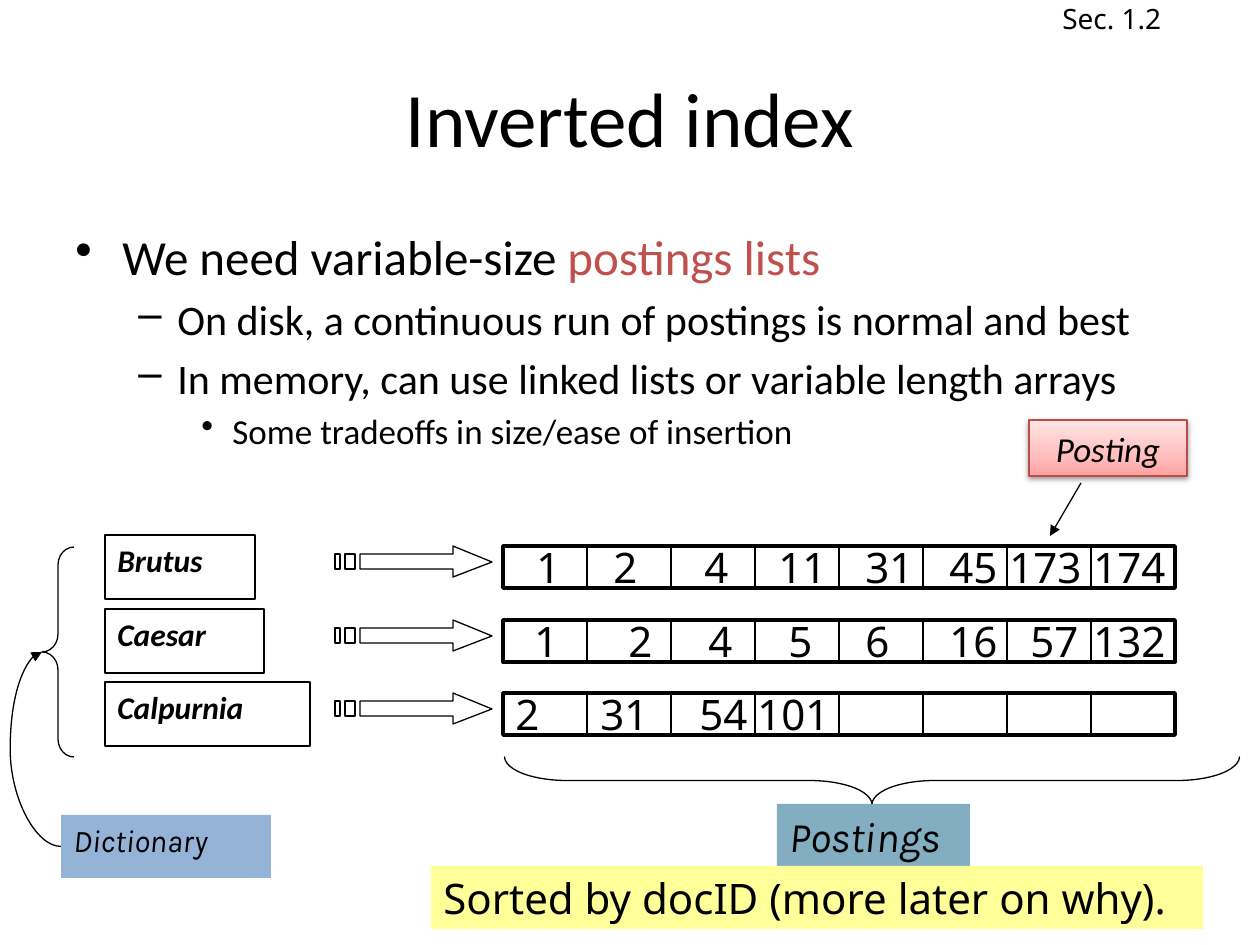
from lxml import etree
from pptx import Presentation
from pptx.dml.color import RGBColor
from pptx.enum.shapes import MSO_CONNECTOR, MSO_SHAPE
from pptx.enum.text import MSO_ANCHOR, MSO_AUTO_SIZE, PP_ALIGN
from pptx.oxml import parse_xml
from pptx.oxml.ns import nsdecls, qn
from pptx.util import Pt

RECT, BRACE = MSO_SHAPE.RECTANGLE, MSO_SHAPE.LEFT_BRACE
LINE, CURVE = MSO_CONNECTOR.STRAIGHT, MSO_CONNECTOR.CURVE
TOP, MIDDLE = MSO_ANCHOR.TOP, MSO_ANCHOR.MIDDLE
LEFT, CENTER = PP_ALIGN.LEFT, PP_ALIGN.CENTER
GROW = MSO_AUTO_SIZE.SHAPE_TO_FIT_TEXT

BLACK = RGBColor(0x00, 0x00, 0x00)
RED = RGBColor(0xC0, 0x50, 0x4D)
EDGE = RGBColor(0xBE, 0x4B, 0x48)
BLUE = RGBColor(0x95, 0xB3, 0xD7)
TEAL = RGBColor(0x83, 0xAD, 0xC1)
YELLOW = RGBColor(0xFF, 0xFF, 0x99)
PINKS = [
    (0, RGBColor(0xFF, 0xA2, 0xA1)),
    (35, RGBColor(0xFF, 0xBE, 0xBD)),
    (100, RGBColor(0xFF, 0xE5, 0xE5)),
]

PX = 914400 / 126
THIN, THICK = 0.75, 2
CELL, HIGH, START = 84, 42, 503
WIDTHS = {1: 52, 2: 79, 3: 106}

SANS = {"name": "Noto Sans", "size": Pt(24)}
TERM = {"name": "Calibri", "size": Pt(18), "bold": True, "italic": True}
NOTE = {"name": "Karla", "italic": True}

POINTS = [
    ("•", 47, 47, 28, [("We need variable-size ", BLACK), ("postings lists", RED)]),
    ("–", 102, 39, 24, [("On disk, a continuous run of postings is normal and best", BLACK)]),
    ("–", 102, 39, 24, [("In memory, can use linked lists or variable length arrays", BLACK)]),
    ("•", 157, 31, 20, [("Some tradeoffs in size/ease of insertion", BLACK)]),
]

ROWS = [
    ("Brutus", 546, 150, [(524, 1), (601, 2), (692, 4), (766, 11),
                          (853, 31), (937, 45), (997, 173), (1081, 174)]),
    ("Caesar", 620, 159, [(522, 1), (616, 2), (696, 4), (776, 5),
                          (853, 6), (937, 16), (1018, 57), (1081, 132)]),
    ("Calpurnia", 693, 205, [(503, 2), (588, 31), (687, 54), (745, 101)]),
]

STRIPES = [
    [(118, 0), (118, 8), (25, 8), (25, 23), (118, 23), (118, 31), (157, 16)],
    [(10, 8), (10, 23), (20, 23), (20, 8)],
    [(0, 8), (0, 23), (5, 23), (5, 8)],
]


def emu(*sizes):
    """Turn px lengths into EMU."""
    return [round(size * PX) for size in sizes]


def style(shape, fill=None, line=None, width=THIN):
    """Set the fill and outline of a shape."""
    shape.shadow.inherit = False
    if fill is None:
        shape.fill.background()
    else:
        shape.fill.solid()
        shape.fill.fore_color.rgb = fill
    if line is None:
        shape.line.fill.background()
    else:
        shape.line.color.rgb = line
        shape.line.width = Pt(width)
    return shape


def add_shape(slide, kind, box, **look):
    """Add a styled preset shape."""
    return style(slide.shapes.add_shape(kind, *emu(*box)), **look)


def add_run(para, text, form, color=BLACK):
    """Add a run with the given font values."""
    run = para.add_run()
    run.text = text
    for key, value in form.items():
        setattr(run.font, key, value)
    run.font.color.rgb = color


def write(shape, text, form, align=LEFT, anchor=TOP, wrap=False):
    """Write one line of text into a shape."""
    frame = shape.text_frame
    frame.word_wrap = wrap
    frame.auto_size = GROW
    frame.vertical_anchor = anchor
    para = frame.paragraphs[0]
    para.alignment = align
    add_run(para, text, form)
    return shape


def add_text(slide, box, *args, **opts):
    """Add a plain text box."""
    return write(slide.shapes.add_textbox(*emu(*box)), *args, **opts)


def add_points(slide, box):
    """Add the bulleted list."""
    frame = slide.shapes.add_textbox(*emu(*box)).text_frame
    frame.word_wrap = True
    for i, (mark, left, hang, size, runs) in enumerate(POINTS):
        para = frame.add_paragraph() if i else frame.paragraphs[0]
        para.space_before = Pt(size * 0.2)
        props = para._p.get_or_add_pPr()
        margin, indent = emu(left, -hang)
        props.set("marL", str(margin))
        props.set("indent", str(indent))
        etree.SubElement(props, qn("a:buChar"), char=mark)
        for text, color in runs:
            add_run(para, text, {"name": "Calibri", "size": Pt(size)}, color)


def add_brace(slide, box, bend, turn=0):
    """Add a curly brace."""
    brace = add_shape(slide, BRACE, box, line=BLACK)
    brace.adjustments[0] = bend
    brace.rotation = turn
    return brace


def add_line(slide, kind, ends, head=True):
    """Add a line with an optional arrowhead."""
    line = slide.shapes.add_connector(kind, *emu(*ends))
    line.line.color.rgb = BLACK
    line.line.width = Pt(THIN)
    props = line.element.spPr
    if head:
        etree.SubElement(props.find(qn("a:ln")), qn("a:tailEnd"), type="triangle")
    etree.SubElement(props, qn("a:effectLst"))
    return line


def add_curve(slide, source, target, bend):
    """Join the left sides of two shapes with a curve."""
    line = add_line(slide, CURVE, (61, 847, 42, 652))
    line.begin_connect(source, 1)
    line.end_connect(target, 1)
    guides = line.element.spPr.find(qn("a:prstGeom")).get_or_add_avLst()
    etree.SubElement(guides, qn("a:gd"), name="adj1", fmla=f"val {bend}")


def add_arrow(slide, left, top):
    """Add a striped arrow outline."""
    first, *rest = STRIPES
    build = slide.shapes.build_freeform(left + first[0][0], top + first[0][1], scale=PX)
    build.add_line_segments([(left + x, top + y) for x, y in first[1:]])
    for part in rest:
        spots = [(left + x, top + y) for x, y in part]
        build.move_to(*spots[0])
        build.add_line_segments(spots[1:])
    style(build.convert_to_shape(), line=BLACK)


def add_row(slide, term, top, width, posts):
    """Add a term, its arrow and its postings list."""
    box = add_shape(slide, RECT, (105, top - 11, width, 64), line=BLACK)
    write(box, term, TERM)
    add_arrow(slide, 335, top)
    for i in range(4):
        area = (START + CELL * i, top, CELL * (8 - 2 * i), HIGH)
        add_shape(slide, RECT, area, line=BLACK, width=THIN if i else THICK)
    mid = START + CELL * 4
    add_line(slide, LINE, (mid, top, mid, top + HIGH), head=False)
    for left, post in posts:
        text = str(post)
        add_text(slide, (left, top - 11, WIDTHS[len(text)], 64), text, SANS)


def add_badge(slide, box, text):
    """Add a shaded box with a soft shadow."""
    badge = add_shape(slide, RECT, box, line=EDGE)
    write(badge, text, {"name": "Calibri", "size": Pt(20), "italic": True},
          CENTER, MIDDLE, True)
    stops = "".join(f'<a:gs pos="{at * 1000}"><a:srgbClr val="{color}"/></a:gs>'
                    for at, color in PINKS)
    props = badge.element.spPr
    props.replace(props.find(qn("a:noFill")), parse_xml(
        f'<a:gradFill {nsdecls("a")} rotWithShape="1"><a:gsLst>{stops}</a:gsLst>'
        '<a:lin ang="16200000" scaled="0"/></a:gradFill>'))
    props.find(qn("a:effectLst")).append(parse_xml(
        f'<a:outerShdw {nsdecls("a")} blurRad="40000" dist="20000" dir="5400000" '
        f'rotWithShape="0"><a:srgbClr val="{BLACK}"><a:alpha val="38000"/>'
        '</a:srgbClr></a:outerShdw>'))


def main():
    """Build the slide and save it."""
    deck = Presentation()
    deck.slide_width, deck.slide_height = emu(1260, 945)
    slide = deck.slides.add_slide(deck.slide_layouts[6])
    add_text(slide, (63, 38, 1134, 158), "Inverted index",
             {"name": "Calibri", "size": Pt(44)}, CENTER, MIDDLE, True).text_frame.auto_size = None
    add_points(slide, (63, 220, 1134, 624))
    brace = add_brace(slide, (42, 547, 32, 210), 0.56)
    words = add_shape(slide, RECT, (61, 815, 210, 63), fill=BLUE)
    write(words, "Dictionary", {**NOTE, "size": Pt(18)})
    add_curve(slide, words, brace, 267400)
    add_brace(slide, (848, 413, 48, 735), 1.3, 270)
    lists = add_shape(slide, RECT, (777, 804, 193, 64), fill=TEAL)
    write(lists, "Postings", {**NOTE, "size": Pt(24)})
    order = add_shape(slide, RECT, (431, 866, 772, 63), fill=YELLOW)
    write(order, "Sorted by docID (more later on why).", SANS)
    add_badge(slide, (1029, 420, 158, 56), "Posting")
    add_line(slide, LINE, (1081, 483, 1050, 536))
    add_text(slide, (1050, -5, 134, 47), "Sec. 1.2", {**SANS, "size": Pt(16)}, anchor=MIDDLE)
    for row in ROWS:
        add_row(slide, *row)
    deck.save("out.pptx")


if __name__ == "__main__":
    main()
